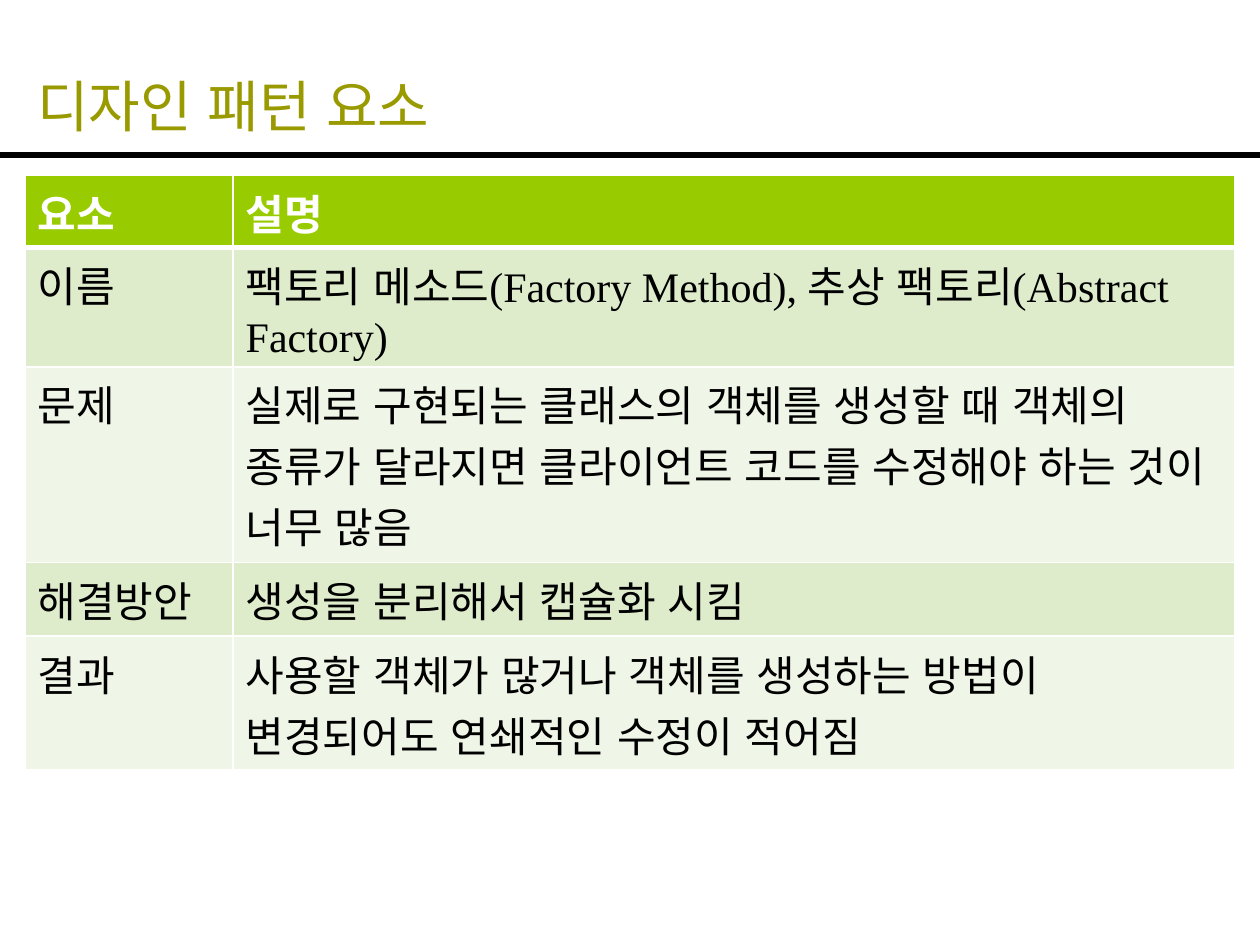
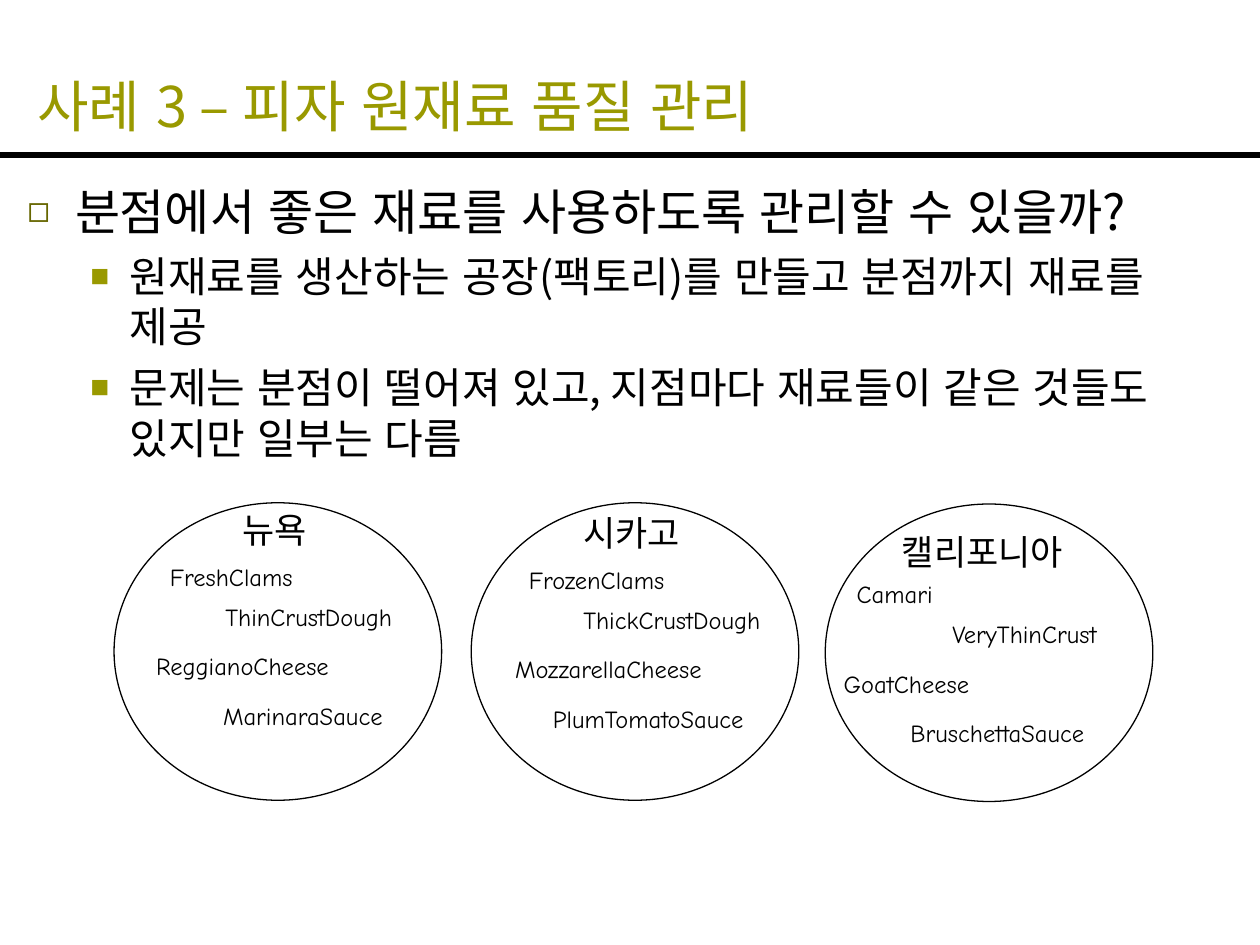
"""Build two slides on design pattern elements and pizza ingredients."""
from dataclasses import dataclass

from lxml import etree
from pptx import Presentation
from pptx.dml.color import RGBColor
from pptx.enum import lang, shapes, text
from pptx.oxml import ns
from pptx.util import Pt


@dataclass(frozen=True)
class Theme:
    olive: str = "999900"
    moss: str = "666600"
    lime: str = "99CC00"
    bands: tuple = ("DEECCC", "EFF6E7")
    black: str = "000000"
    white: str = "FFFFFF"
    sans: str = "Noto Sans CJK KR"
    serif: str = "Times New Roman"
    comic: str = "Comic Neue"
    title: int = 32
    lead: int = 28
    body: int = 24
    name: int = 20
    item: int = 14


T = Theme()

ROWS = [
    (41.4, "요소", "설명"),
    (68.3, "이름", "팩토리 메소드(Factory Method), 추상 팩토리(Abstract Factory)"),
    (111.7, "문제", "실제로 구현되는 클래스의 객체를 생성할 때 객체의 종류가 달라지면 "
                  "클라이언트 코드를 수정해야 하는 것이 너무 많음"),
    (42.2, "해결방안", "생성을 분리해서 캡슐화 시킴"),
    (76.3, "결과", "사용할 객체가 많거나 객체를 생성하는 방법이 변경되어도 연쇄적인 수정이 적어짐"),
]

POINTS = [
    (0, "분점에서 좋은 재료를 사용하도록 관리할 수 있을까?"),
    (1, "원재료를 생산하는 공장(팩토리)를 만들고 분점까지 재료를 제공"),
    (1, "문제는 분점이 떨어져 있고, 지점마다 재료들이 같은 것들도 있지만 일부는 다름"),
]

SHOPS = [
    ((65.2, 287.3), ("뉴욕", 131.3, 287.3, 54.7), 317.5,
     [("FreshClams", 90, 90), ("ThinCrustDough", 121.7, 120.2),
      ("ReggianoCheese", 82.1, 118.8), ("MarinaraSauce", 120.4, 113)]),
    ((269.3, 287.3), ("시카고", 326.2, 288.9, 74.9), 319.2,
     [("FrozenClams", 295.2, 97.9), ("ThickCrustDough", 326.2, 128.2),
      ("MozzarellaCheese", 287.3, 133.2), ("PlumTomatoSauce", 308.9, 132.5)]),
    ((471.6, 288), ("캘리포니아", 508.3, 299.5, 115.2), 327.6,
     [("Camari", 482.4, 59), ("VeryThinCrust", 537.1, 110.9),
      ("GoatCheese", 475, 92.2), ("BruschettaSauce", 513.2, 127.4)]),
]
DROPS = (0, 22.8, 51.1, 79.3)


def add_node(parent, tag, **attrs):
    node = etree.SubElement(parent, ns.qn(tag))
    for key, value in attrs.items():
        node.set(key, str(value))
    return node


def add_run(para, words, size, face, tint, bold=False):
    run = para.add_run()
    run.text = words
    font = run.font
    font.size, font.name, font.bold = Pt(size), face, bold
    font.color.rgb = RGBColor.from_string(tint)
    font.language_id = lang.MSO_LANGUAGE_ID.KOREAN
    add_node(font._element, "a:ea", typeface=T.sans)


def add_box(slide, left, top, width, height, wrap=True):
    box = slide.shapes.add_textbox(Pt(left), Pt(top), Pt(width), Pt(height))
    frame = box.text_frame
    frame.word_wrap = wrap
    return frame


def add_label(slide, words, left, top, width, height, size, face):
    frame = add_box(slide, left, top, width, height, wrap=False)
    frame.auto_size = text.MSO_AUTO_SIZE.SHAPE_TO_FIT_TEXT
    add_run(frame.paragraphs[0], words, size, face, T.black)


def add_page(deck, title):
    slide = deck.slides.add_slide(deck.slide_layouts[6])
    rule = slide.shapes.add_connector(
        shapes.MSO_CONNECTOR.STRAIGHT, 0, Pt(88.6), deck.slide_width, Pt(88.6))
    rule.line.width = Pt(3)
    rule.line.color.rgb = RGBColor.from_string(T.black)
    add_node(rule._element.spPr, "a:effectLst")
    frame = add_box(slide, 14.3, 21.6, 692, 61.2)
    frame.vertical_anchor = text.MSO_ANCHOR.BOTTOM
    add_run(frame.paragraphs[0], title, T.title, T.sans, T.olive)
    return slide


def set_edge(cell, side, width):
    edge = add_node(cell._tc.get_or_add_tcPr(), f"a:ln{side}", w=int(Pt(width)))
    add_node(add_node(edge, "a:solidFill"), "a:srgbClr", val=T.white)


def add_grid(slide, rows):
    tall = sum(row[0] for row in rows)
    grid = slide.shapes.add_table(
        len(rows), 2, Pt(14.2), Pt(100), Pt(691.4), Pt(tall)).table
    for col, width in zip(grid.columns, (119, 572.4)):
        col.width = Pt(width)
    for i, (height, *cells) in enumerate(rows):
        head = i == 0
        grid.rows[i].height = Pt(height)
        for j, words in enumerate(cells):
            cell = grid.cell(i, j)
            for side in "LRTB":
                thick = (i, side) in ((0, "B"), (1, "T"))
                set_edge(cell, side, 3 if thick else 1)
            cell.fill.solid()
            cell.fill.fore_color.rgb = RGBColor.from_string(
                T.lime if head else T.bands[(i - 1) % 2])
            add_run(cell.text_frame.paragraphs[0], words, T.body, T.serif,
                    T.white if head else T.black, head)


def add_points(slide, points):
    styles = [(27.2, -27.2, "◻", T.moss, T.lead),
              (58.3, -22.3, "■", T.olive, T.body)]
    frame = add_box(slide, 8.6, 100, 702.7, 383)
    for i, (level, words) in enumerate(points):
        para = frame.add_paragraph() if i else frame.paragraphs[0]
        margin, indent, mark, tint, size = styles[level]
        para.level = level
        para.space_before = Pt(6 if i else 0)
        props = para._p.get_or_add_pPr()
        props.set("marL", str(int(Pt(margin))))
        props.set("indent", str(int(Pt(indent))))
        add_node(add_node(props, "a:buClr"), "a:srgbClr", val=tint)
        add_node(props, "a:buSzPct", val=75000)
        add_node(props, "a:buFont", typeface=T.serif)
        add_node(props, "a:buChar", char=mark)
        add_run(para, words, size, T.sans, T.black)


def add_shop(slide, corner, name, top, items):
    ring = slide.shapes.add_shape(
        shapes.MSO_SHAPE.OVAL, *map(Pt, corner), Pt(187.2), Pt(170))
    ring.shadow.inherit = False
    ring.fill.background()
    ring.line.width = Pt(0.75)
    ring.line.color.rgb = RGBColor.from_string(T.black)
    add_label(slide, *name, 31.7, T.name, T.serif)
    for drop, (words, left, width) in zip(DROPS, items):
        add_label(slide, words, left, top + drop, width, 24.5, T.item, T.comic)


def main():
    deck = Presentation()
    deck.slide_width, deck.slide_height = Pt(720), Pt(540)
    add_grid(add_page(deck, "디자인 패턴 요소"), ROWS)
    slide = add_page(deck, "사례 3 – 피자 원재료 품질 관리")
    add_points(slide, POINTS)
    for shop in SHOPS:
        add_shop(slide, *shop)
    deck.save("out.pptx")


if __name__ == "__main__":
    main()
